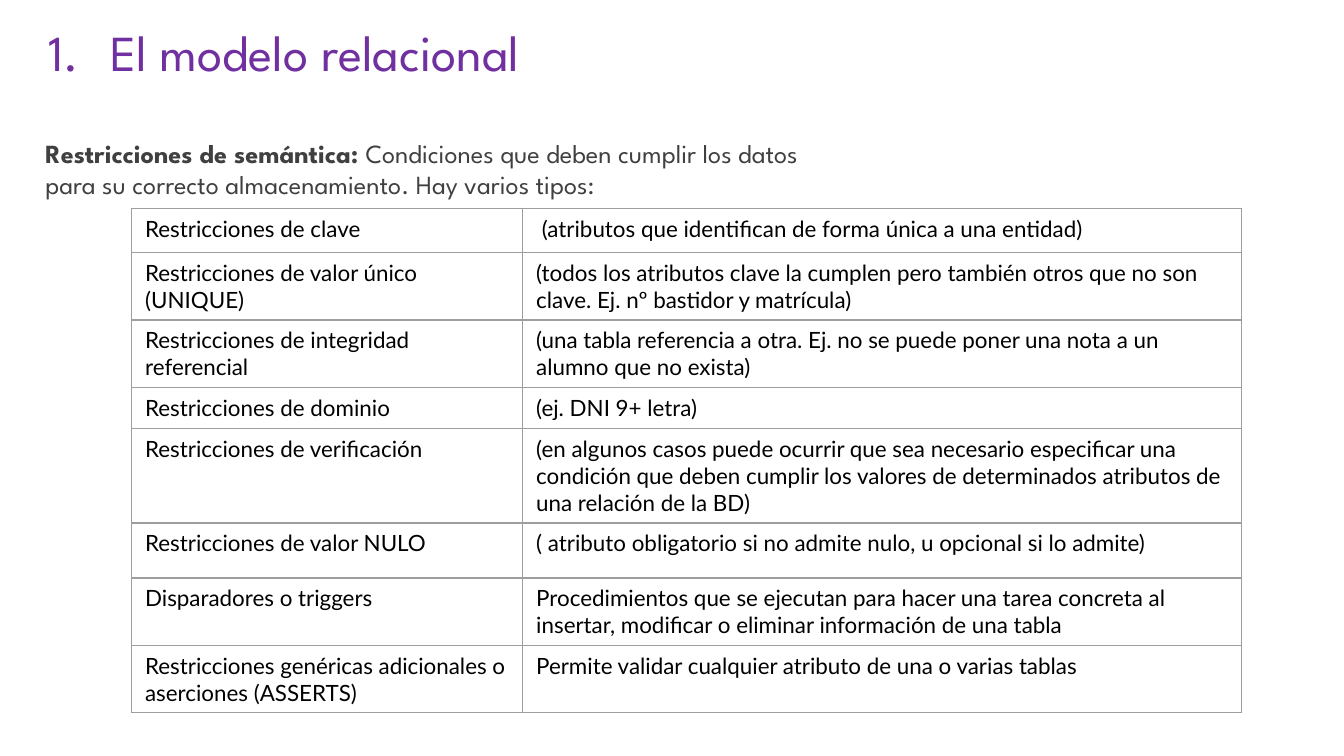
from lxml.etree import SubElement
from pptx import Presentation
from pptx.dml.color import RGBColor
from pptx.enum.text import MSO_ANCHOR, PP_ALIGN
from pptx.oxml.ns import qn
from pptx.util import Inches, Pt

ROWS = [
    (0.33, "Restricciones de clave",
     " (atributos que identifican de forma única a una entidad)"),
    (0.5, "Restricciones de valor único (UNIQUE)",
     "(todos los atributos clave la cumplen pero también otros que no son clave. "
     "Ej. nº bastidor y matrícula)"),
    (0.5, "Restricciones de integridad referencial",
     "(una tabla referencia a otra. Ej. no se puede poner una nota a un alumno que no exista)"),
    (0.31, "Restricciones de dominio", "(ej. DNI 9+ letra)"),
    (0.7, "Restricciones de verificación",
     "(en algunos casos puede ocurrir que sea necesario especificar una condición que deben "
     "cumplir los valores de determinados atributos de una relación de la BD)"),
    (0.41, "Restricciones de valor NULO",
     "( atributo obligatorio si no admite nulo, u opcional si lo admite)"),
    (0.5, "Disparadores o triggers",
     "Procedimientos que se ejecutan para hacer una tarea concreta al insertar, modificar "
     "o eliminar información de una tabla"),
    (0.5, "Restricciones genéricas adicionales o aserciones (ASSERTS)",
     "Permite validar cualquier atributo de una o varias tablas"),
]


def color(value):
    return RGBColor.from_string(value)


class SlideBuilder:
    """Holds the style and the current slide, and adds each kind of element."""

    heading_font = "League Spartan"
    table_font = "Lato"
    purple, gray, black, white, border = "7030A0", "404040", "000000", "FFFFFF", "9E9E9E"

    def __init__(self, presentation):
        self.slide = presentation.slides.add_slide(presentation.slide_layouts[5])

    def format_run(self, run, font, size, value, bold=False):
        run.font.name = font
        run.font.size = Pt(size)
        run.font.bold = bold
        run.font.color.rgb = color(value)

    def format_frame(self, frame):
        frame.word_wrap = True
        frame.vertical_anchor = MSO_ANCHOR.TOP
        frame.margin_left = frame.margin_right = Inches(0.1)
        frame.margin_top = frame.margin_bottom = Inches(0.1)

    def indent(self, paragraph, left, first=0):
        properties = paragraph._p.get_or_add_pPr()
        properties.set("marL", str(Inches(left)))
        properties.set("indent", str(Inches(first)))
        return properties

    def title(self, text, left, top, width, height):
        shape = self.slide.shapes.title
        shape.left, shape.top = Inches(left), Inches(top)
        shape.width, shape.height = Inches(width), Inches(height)
        shape.text_frame.text = text
        self.format_frame(shape.text_frame)
        paragraph = shape.text_frame.paragraphs[0]
        paragraph.alignment = PP_ALIGN.LEFT
        properties = self.indent(paragraph, 0.5, -0.46)
        SubElement(properties, qn("a:buFont"), typeface=self.heading_font)
        SubElement(properties, qn("a:buAutoNum"), type="arabicPeriod")
        self.format_run(paragraph.runs[0], self.heading_font, 27, self.purple)

    def body(self, lines, left, top, width, height):
        shape = self.slide.shapes.add_textbox(
            Inches(left), Inches(top), Inches(width), Inches(height))
        frame = shape.text_frame
        self.format_frame(frame)
        for index, line in enumerate(lines):
            paragraph = frame.add_paragraph() if index else frame.paragraphs[0]
            self.indent(paragraph, 0.12)
            for text, bold in line:
                run = paragraph.add_run()
                run.text = text
                self.format_run(run, self.heading_font, 14, self.gray, bold)

    def cell(self, cell, text):
        cell.text_frame.text = text
        self.format_run(cell.text_frame.paragraphs[0].runs[0], self.table_font, 12, self.black)
        properties = cell._tc.get_or_add_tcPr()
        for side in ("a:lnL", "a:lnR", "a:lnT", "a:lnB"):
            line = SubElement(properties, qn(side), w=str(Pt(0.75)))
            fill = SubElement(line, qn("a:solidFill"))
            SubElement(fill, qn("a:srgbClr"), val=self.border)
        cell.fill.solid()
        cell.fill.fore_color.rgb = color(self.white)

    def table(self, rows, widths, left, top):
        height = sum(row[0] for row in rows)
        table = self.slide.shapes.add_table(
            len(rows), len(widths), Inches(left), Inches(top),
            Inches(sum(widths)), Inches(height)).table
        table.first_row = table.horz_banding = False
        for column, width in zip(table.columns, widths):
            column.width = Inches(width)
        for row, (row_height, *texts) in zip(table.rows, rows):
            row.height = Inches(row_height)
            for cell, text in zip(row.cells, texts):
                self.cell(cell, text)


def main():
    presentation = Presentation()
    presentation.slide_width = Inches(10)
    presentation.slide_height = Inches(10 * 9 / 16)
    builder = SlideBuilder(presentation)
    builder.title("El modelo relacional", 0.22, 0.06, 9.32, 0.63)
    builder.body([
        [("Restricciones de semántica: ", True),
         ("Condiciones que deben cumplir los datos", False)],
        [("para su correcto almacenamiento. Hay varios tipos:", False)],
    ], 0.12, 0.92, 9.53, 0.53)
    builder.table(ROWS, (2.91, 5.35), 0.98, 1.55)
    presentation.save("out.pptx")


if __name__ == "__main__":
    main()
